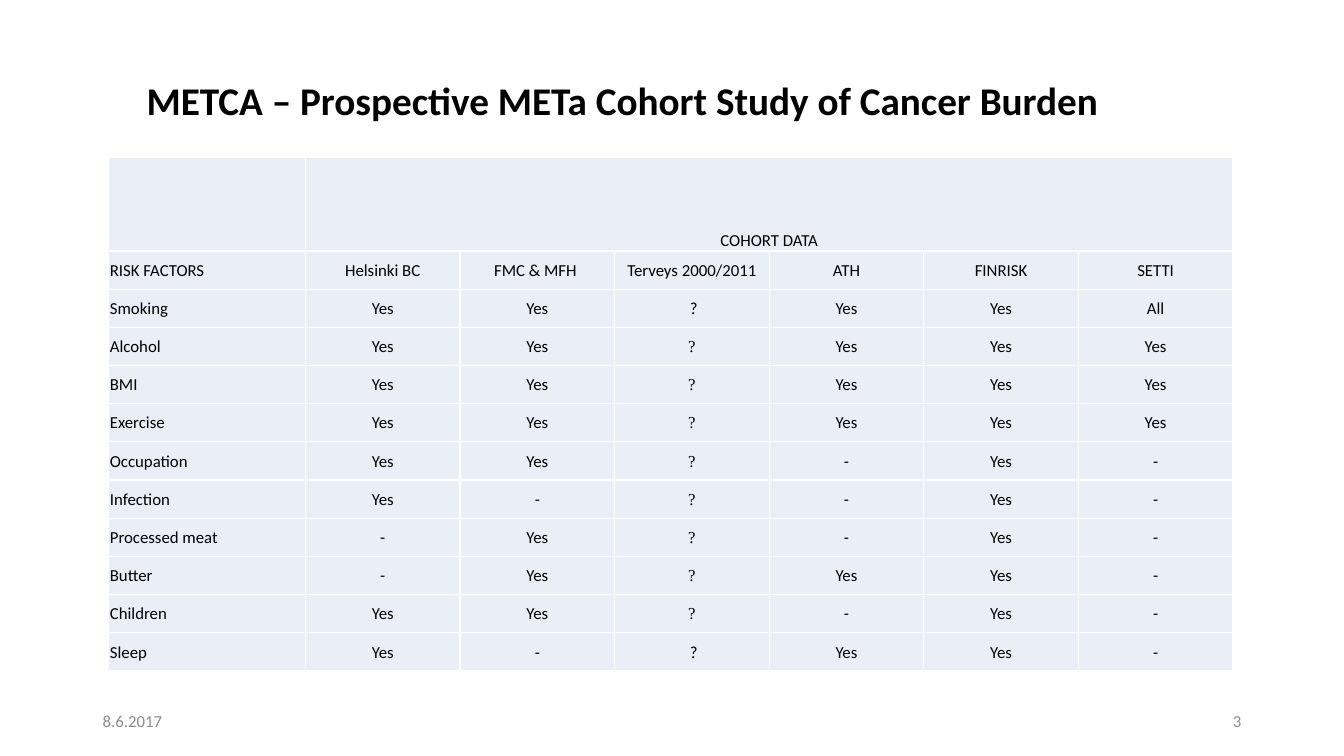
from lxml import etree
from pptx import Presentation
from pptx.dml.color import RGBColor
from pptx.enum.text import MSO_ANCHOR, PP_ALIGN
from pptx.oxml.ns import qn
from pptx.util import Inches, Pt

LEFT, CENTER, RIGHT = PP_ALIGN.LEFT, PP_ALIGN.CENTER, PP_ALIGN.RIGHT
TOP, MIDDLE, BOTTOM = MSO_ANCHOR.TOP, MSO_ANCHOR.MIDDLE, MSO_ANCHOR.BOTTOM

WIDTH, HEIGHT = 13.33, 7.5
COLORS = {"ink": "000000", "gray": "8C8C8C", "cell": "EAEFF7", "rule": "FFFFFF"}
SANS, SERIF = "Calibri", "Times New Roman"

ROWS = [
    ["RISK FACTORS", "Helsinki BC", "FMC & MFH ", "Terveys 2000/2011", "ATH", "FINRISK", "SETTI"],
    ["Smoking", "Yes", "Yes", " ?", "Yes", "Yes", "All"],
    ["Alcohol", "Yes", "Yes", "?", "Yes", "Yes", "Yes"],
    ["BMI", "Yes", "Yes", "?", "Yes", "Yes", "Yes"],
    ["Exercise", "Yes", "Yes", "?", "Yes", "Yes", "Yes"],
    ["Occupation", "Yes", "Yes", "?", "-", "Yes", "-"],
    ["Infection", "Yes", "-", "?", "-", "Yes", "-"],
    ["Processed meat", "-", "Yes", "?", "-", "Yes", "-"],
    ["Butter", "-", "Yes", "?", "Yes", "Yes", "-"],
    ["Children", "Yes", "Yes", "?", "-", "Yes", "-"],
    ["Sleep", "Yes", "-", " ?", "Yes", "Yes", "-"],
]


def write(frame, text, align, size=12, color="ink", font=SANS, bold=False):
    para = frame.paragraphs[0]
    para.alignment = align
    run = para.add_run()
    run.text = text
    run.font.name = font
    run.font.size = Pt(size)
    run.font.bold = bold
    run.font.color.rgb = RGBColor.from_string(COLORS[color])


def add_title(slide, box):
    title = slide.shapes.title
    title.left, title.top, title.width, title.height = map(Inches, box)
    frame = title.text_frame
    frame.word_wrap = True
    frame.vertical_anchor = TOP
    write(frame, "METCA – Prospective METa Cohort Study of Cancer Burden ",
          CENTER, 28, bold=True)


def add_foot(slide, box):
    left, top, width, height = box
    part = 3
    for x, text, align in ((left, "8.6.2017", LEFT), (left + width - part, "3", RIGHT)):
        note = slide.shapes.add_textbox(*map(Inches, (x, top, part, height)))
        frame = note.text_frame
        frame.word_wrap = True
        frame.vertical_anchor = MIDDLE
        write(frame, text, align, color="gray")


def style(cell):
    props = cell._tc.get_or_add_tcPr()
    for side in ("a:lnL", "a:lnR", "a:lnT", "a:lnB"):
        line = etree.SubElement(props, qn(side), w=str(Pt(1)))
        fill = etree.SubElement(line, qn("a:solidFill"))
        etree.SubElement(fill, qn("a:srgbClr"), val=COLORS["rule"])
    cell.fill.solid()
    cell.fill.fore_color.rgb = RGBColor.from_string(COLORS["cell"])
    cell.margin_left = cell.margin_right = cell.margin_top = Inches(0.01)
    cell.margin_bottom = 0
    cell.vertical_anchor = MIDDLE


def add_grid(slide, box):
    width, height = box[2:]
    count, span = len(ROWS), len(ROWS[0])
    first, head = 1.95, 0.93
    table = slide.shapes.add_table(count + 1, span, *map(Inches, box)).table
    table.first_row = table.horz_banding = False
    for i, col in enumerate(table.columns):
        col.width = Inches((width - first) / (span - 1) if i else first)
    for i, row in enumerate(table.rows):
        row.height = Inches((height - head) / count if i else head)
    for cell in table.iter_cells():
        style(cell)
    group = table.cell(0, 1)
    group.merge(table.cell(0, span - 1))
    group.vertical_anchor = BOTTOM
    write(group.text_frame, "COHORT DATA", CENTER)
    for r, row in enumerate(ROWS, 1):
        for c, text in enumerate(row):
            write(table.cell(r, c).text_frame, text, CENTER if c else LEFT,
                  font=SERIF if text == "?" else SANS)


def main():
    deck = Presentation()
    deck.slide_width, deck.slide_height = Inches(WIDTH), Inches(HEIGHT)
    slide = deck.slides.add_slide(deck.slide_layouts[5])
    edge = 0.92
    add_foot(slide, (edge, 6.95, WIDTH - 2 * edge, 0.4))
    add_grid(slide, (1.08, 1.56, 11.15, 5.1))
    add_title(slide, (edge, 0.71, 10.59, 0.57))
    deck.save("out.pptx")


if __name__ == "__main__":
    main()
